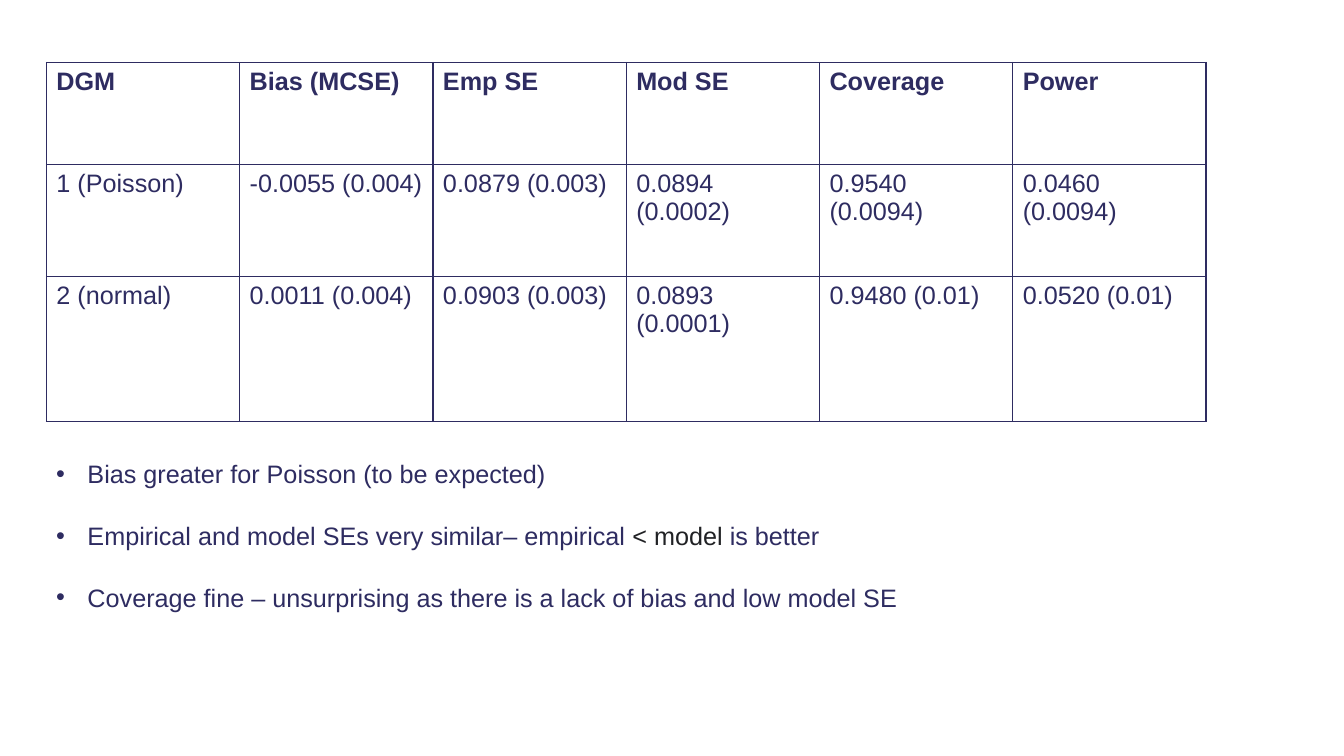
from typing import NamedTuple

from lxml import etree
from pptx import Presentation
from pptx.dml.color import RGBColor
from pptx.enum.text import MSO_AUTO_SIZE
from pptx.oxml.ns import qn
from pptx.util import Inches, Pt

NO_AUTO_SIZE = MSO_AUTO_SIZE.NONE
BLANK_LAYOUT = 6
FONT_NAME = "Arial"
FONT_SIZE = Pt(18)
NAVY = "2E2C61"
CHARCOAL = "202124"

SLIDE_WIDTH = Inches(13.33)
SLIDE_HEIGHT = Inches(7.5)
LEFT = Inches(0.46)
TABLE_TOP = Inches(0.62)
COLUMN_WIDTH = Inches(1.917)
BULLETS_TOP = Inches(4.5)
BULLETS_WIDTH = Inches(9.27)
BULLETS_HEIGHT = Inches(1.62)
BULLET_INDENT = Inches(0.31)
BULLET_GAP = Pt(22.5)


class TableRow(NamedTuple):
    height: float
    cells: tuple[str, ...]
    bold: bool = False


class TextRun(NamedTuple):
    text: str
    color: str = NAVY


RESULT_ROWS = [
    TableRow(1.01, ("DGM", "Bias (MCSE)", "Emp SE", "Mod SE", "Coverage", "Power"), bold=True),
    TableRow(1.11, ("1 (Poisson)", "-0.0055 (0.004)", "0.0879 (0.003)",
                    "0.0894 (0.0002)", "0.9540 (0.0094)", "0.0460 (0.0094)")),
    TableRow(1.44, ("2 (normal)", "0.0011 (0.004)", "0.0903 (0.003)",
                    "0.0893 (0.0001)", "0.9480 (0.01)", "0.0520 (0.01)")),
]

FINDINGS = [
    [TextRun("Bias greater for Poisson (to be expected)")],
    [TextRun("Empirical and model SEs very similar– empirical "),
     TextRun("< model", CHARCOAL), TextRun(" is better")],
    [TextRun("Coverage fine – unsurprising as there is a lack of bias and low model SE")],
]


def rgb(color: str) -> RGBColor:
    return RGBColor.from_string(color)


def format_font(paragraph, bold: bool = False) -> None:
    paragraph.font.name = FONT_NAME
    paragraph.font.size = FONT_SIZE
    paragraph.font.bold = bold
    paragraph.font.color.rgb = rgb(NAVY)


def add_borders(cell, color: str) -> None:
    properties = cell._tc.get_or_add_tcPr()
    for side in ("lnL", "lnR", "lnT", "lnB"):
        line = etree.SubElement(properties, qn(f"a:{side}"), w=str(Pt(1)))
        fill = etree.SubElement(line, qn("a:solidFill"))
        etree.SubElement(fill, qn("a:srgbClr"), val=color)


def add_results_table(slide, rows: list[TableRow]) -> None:
    column_count = len(rows[0].cells)
    height = Inches(sum(row.height for row in rows))
    table = slide.shapes.add_table(len(rows), column_count, LEFT, TABLE_TOP,
                                   COLUMN_WIDTH * column_count, height).table
    table.first_row = False
    table.horz_banding = False
    for row_index, row in enumerate(rows):
        table.rows[row_index].height = Inches(row.height)
        for column_index, text in enumerate(row.cells):
            cell = table.cell(row_index, column_index)
            cell.text = text
            format_font(cell.text_frame.paragraphs[0], row.bold)
            add_borders(cell, NAVY)
            cell.fill.background()


def add_bullet(paragraph) -> None:
    properties = paragraph._p.get_or_add_pPr()
    properties.set("marL", str(BULLET_INDENT))
    properties.set("indent", str(-BULLET_INDENT))
    bullet_font = etree.Element(qn("a:buFont"), typeface=FONT_NAME)
    bullet = etree.Element(qn("a:buChar"), char="•")
    default_font = properties.find(qn("a:defRPr"))
    default_font.addprevious(bullet_font)
    default_font.addprevious(bullet)


def add_findings(slide, findings: list[list[TextRun]]) -> None:
    text_box = slide.shapes.add_textbox(LEFT, BULLETS_TOP, BULLETS_WIDTH, BULLETS_HEIGHT)
    text_frame = text_box.text_frame
    text_frame.word_wrap = True
    text_frame.auto_size = NO_AUTO_SIZE
    for index, finding in enumerate(findings):
        paragraph = text_frame.add_paragraph() if index else text_frame.paragraphs[0]
        paragraph.space_after = BULLET_GAP
        format_font(paragraph)
        add_bullet(paragraph)
        for text_run in finding:
            run = paragraph.add_run()
            run.text = text_run.text
            run.font.name = FONT_NAME
            run.font.size = FONT_SIZE
            run.font.color.rgb = rgb(text_run.color)


def main() -> None:
    presentation = Presentation()
    presentation.slide_width = SLIDE_WIDTH
    presentation.slide_height = SLIDE_HEIGHT
    slide = presentation.slides.add_slide(presentation.slide_layouts[BLANK_LAYOUT])
    add_results_table(slide, RESULT_ROWS)
    add_findings(slide, FINDINGS)
    presentation.save("out.pptx")


if __name__ == "__main__":
    main()
